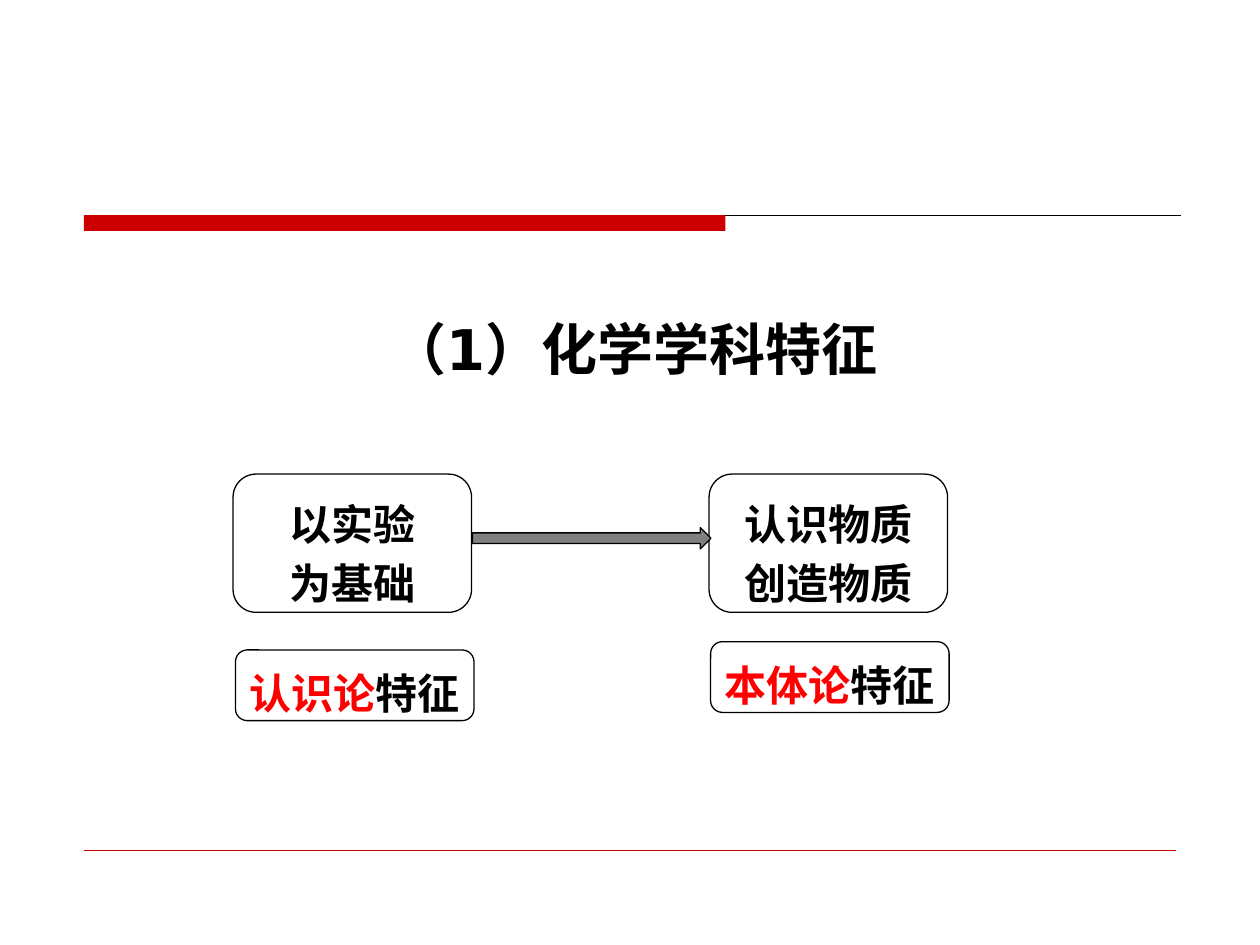
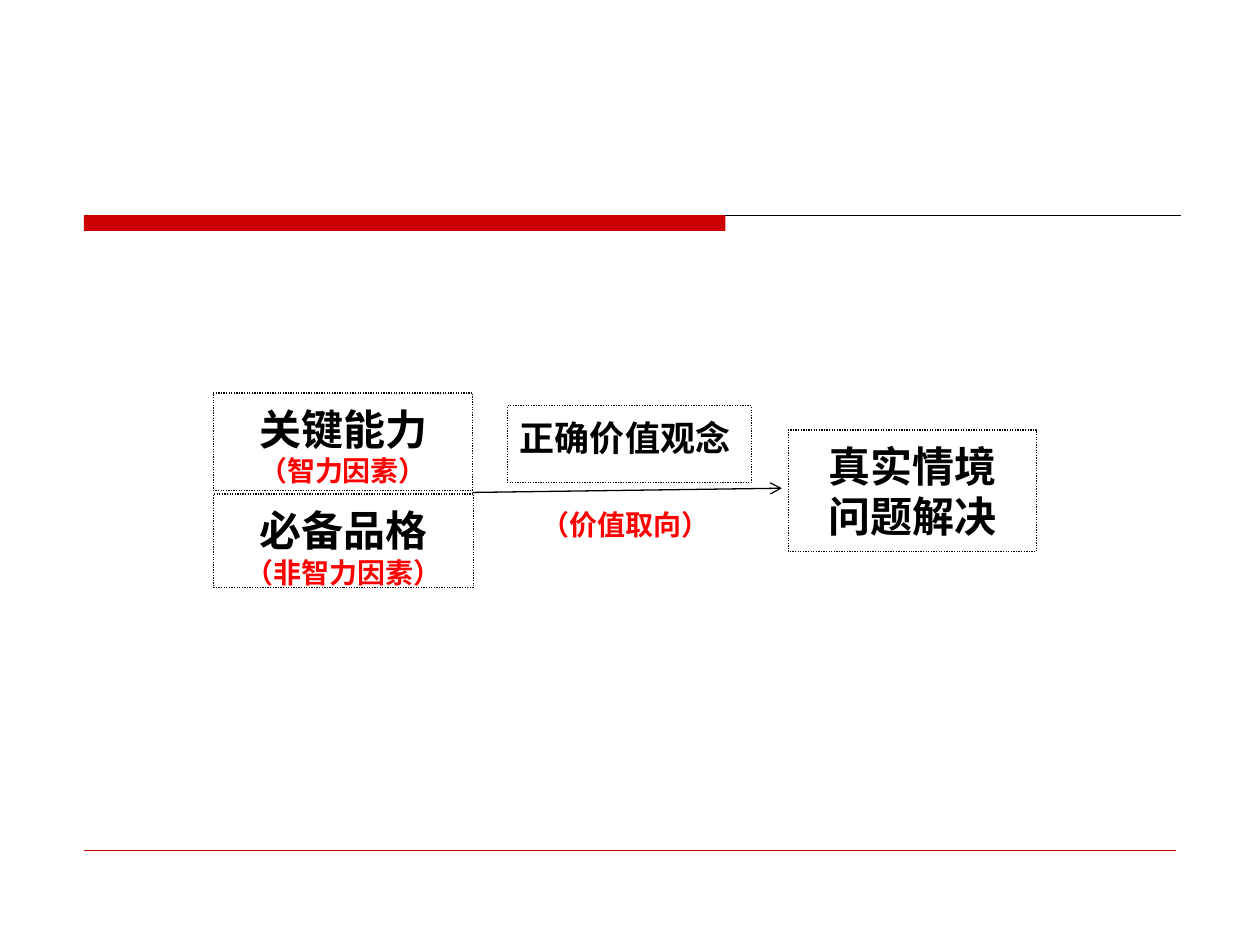
from lxml import etree
from pptx import Presentation
from pptx.dml.color import RGBColor
from pptx.enum.dml import MSO_LINE
from pptx.enum.shapes import MSO_CONNECTOR, MSO_SHAPE
from pptx.enum.text import MSO_ANCHOR, PP_ALIGN
from pptx.oxml.ns import qn
from pptx.util import Pt

RECT = MSO_SHAPE.RECTANGLE
ROUND = MSO_SHAPE.ROUNDED_RECTANGLE
ARROW = MSO_SHAPE.RIGHT_ARROW
LINE = MSO_CONNECTOR.STRAIGHT
DOTS = MSO_LINE.ROUND_DOT
LEFT, MID = PP_ALIGN.LEFT, PP_ALIGN.CENTER
TOP = MSO_ANCHOR.TOP

SANS, HAN = "DejaVu Sans", "Noto Sans CJK SC"
BLACK, WHITE, GRAY = "000000", "FFFFFF", "808080"
RED, BAND = "FF0000", "CC0000"
rgb = RGBColor.from_string


def put(slide, box, text=(), kind=RECT, fill=None, line=BLACK, dash=None,
        font=HAN, align=MID, top=6, side=7.2, gap=0):
    """Add a shape; text is a list of paragraphs, each a list of (words, size, colour)."""
    shape = slide.shapes.add_shape(kind, *map(Pt, box))
    shape.shadow.inherit = False
    if fill:
        shape.fill.solid()
        shape.fill.fore_color.rgb = rgb(fill)
    else:
        shape.fill.background()
    if line:
        shape.line.color.rgb = rgb(line)
        shape.line.width = Pt(0.75)
        if dash:
            shape.line.dash_style = dash
    else:
        shape.line.fill.background()
    frame = shape.text_frame
    frame.word_wrap = True
    frame.vertical_anchor = TOP
    frame.margin_left = frame.margin_right = Pt(side)
    frame.margin_top, frame.margin_bottom = Pt(top), Pt(0)
    for i, runs in enumerate(text):
        para = frame.add_paragraph() if i else frame.paragraphs[0]
        para.alignment = align
        para.line_spacing = Pt(1.2 * runs[0][1])
        para.space_before = Pt(gap if i else 0)
        for words, size, color in runs:
            run = para.add_run()
            run.text = words
            run.font.size, run.font.bold = Pt(size), True
            run.font.name = font
            run.font.color.rgb = rgb(color)
            east = etree.SubElement(run.font._element, qn("a:ea"))
            east.set("typeface", HAN)


def rule(slide, ends, color, width, head=None):
    link = slide.shapes.add_connector(LINE, *map(Pt, ends))
    link.line.color.rgb = rgb(color)
    link.line.width = Pt(width)
    props = link._element.spPr
    if head:
        etree.SubElement(props.find(qn("a:ln")), qn("a:tailEnd")).set("type", head)
    etree.SubElement(props, qn("a:effectLst"))


deck = Presentation()
deck.slide_width, deck.slide_height = Pt(720), Pt(540)
blank = deck.slide_layouts[6]
traits, values = [deck.slides.add_slide(blank) for _ in range(2)]

# Shared band and rules
for slide in (traits, values):
    rule(slide, (48, 123, 674.6, 123), BLACK, 0.5)
    put(slide, (48, 123, 366.5, 9), fill=BAND, line=None)
    rule(slide, (48, 486, 672, 486), BAND, 0.25)

# Slide 1: traits of chemistry
put(traits, (64.8, 172.8, 595.4, 46), [[("（1）化学学科特征", 32, BLACK)]],
    line=None, font=SANS, top=7, side=4.3)

wide = 136.3
cards = [
    (133.2, ("以实验", "为基础"), 134.6, 371.4, "认识论"),
    (405.2, ("认识物质", "创造物质"), 406.1, 366.7, "本体论"),
]
for left, lines, tag, y, view in cards:
    put(traits, (left, 270.9, wide, 79), [[(words, 24, BLACK)] for words in lines],
        kind=ROUND, top=10, side=4.3, gap=4.8)
    put(traits, (tag, y, wide, 40.4), [[(view, 24, RED), ("特征", 24, BLACK)]],
        kind=ROUND, top=8, side=4.3)
put(traits, (270, 301.5, 136.3, 12.2), kind=ARROW, fill=GRAY)

# Slide 2: abilities and values lead to solving problems
flow = [
    ((121.9, 224.5, 148.3, 55.7), MID, [("关键能力", 24, BLACK), ("（智力因素）", 16, RED)]),
    ((121.9, 282.4, 148.9, 53.4), MID, [("必备品格", 24, BLACK), ("（非智力因素）", 16, RED)]),
    ((450.5, 245.7, 141.8, 69.5), MID, [("真实情境", 24, BLACK), ("问题解决", 24, BLACK)]),
    ((290, 231.9, 139.4, 43.8), LEFT, [("正确价值观念", 20, BLACK)]),
]
for box, align, lines in flow:
    put(values, box, [[part] for part in lines], fill=WHITE, dash=DOTS, align=align)
put(values, (292.3, 285.1, 130.3, 25.2), [[("（价值取向）", 16, RED)]],
    fill=WHITE, line=None, top=5)
rule(values, (270, 281.4, 446.8, 279), BLACK, 0.75, head="arrow")

deck.save("out.pptx")
